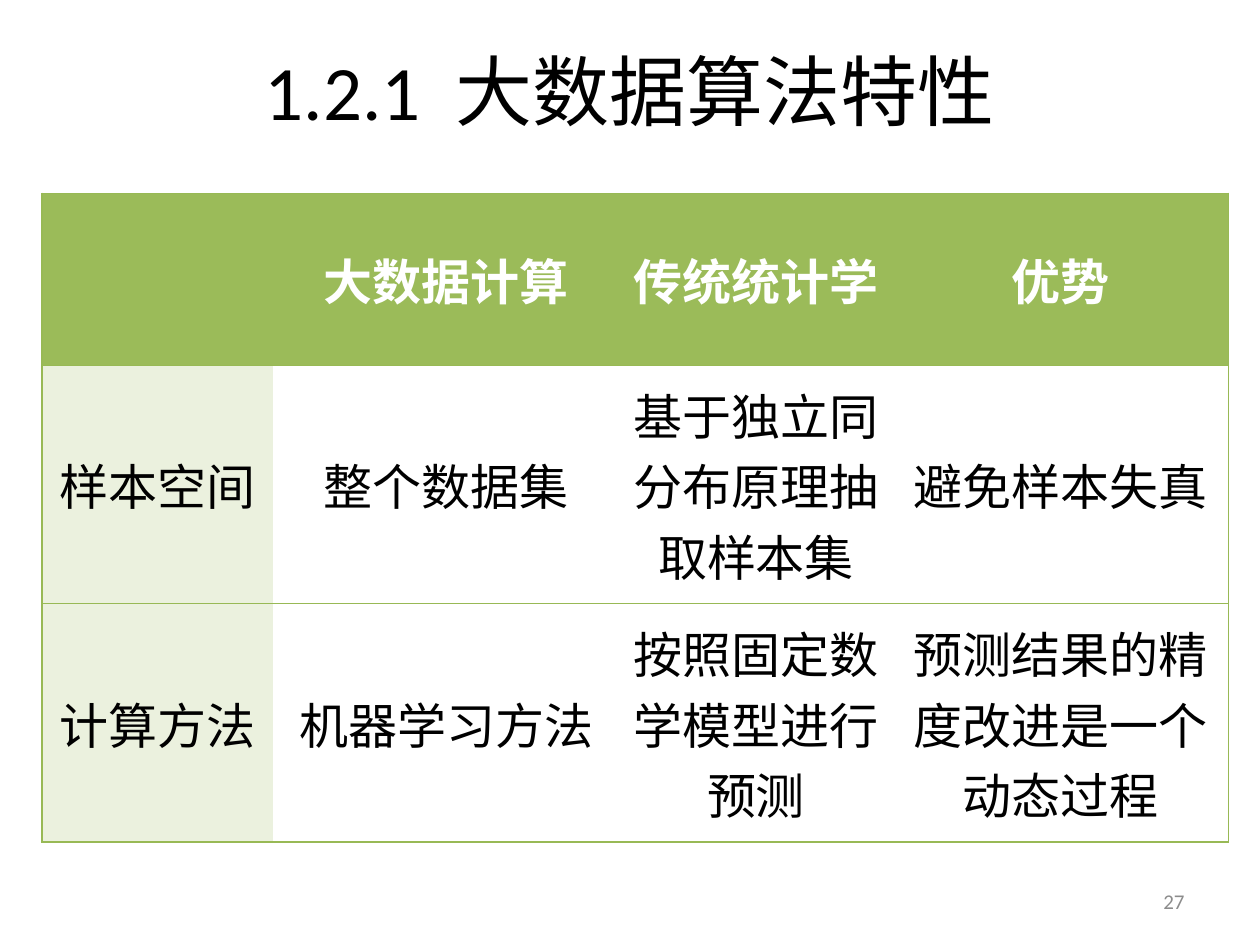
from lxml.etree import SubElement
from pptx import Presentation
from pptx.dml.color import RGBColor
from pptx.enum.text import MSO_ANCHOR, PP_ALIGN
from pptx.oxml.ns import qn
from pptx.util import Inches, Pt

COLORS = {
    "text": "000000",
    "header_text": "FFFFFF",
    "header": "9BBB59",
    "label": "EBF1DE",
    "border": "98B955",
    "number": "8C8C8C",
}
LATIN, CHINESE = "Calibri", "Noto Sans CJK SC"
NO_STYLE = "{2D5ABB26-0587-4C30-8999-92F81FD0307C}"
COLUMN_SPANS = (22, 33, 26, 32)
ROW_SPANS = (16.4, 22.7, 22.7)
ROWS = (
    ("", "大数据计算", "传统统计学", "优势"),
    ("样本空间", "整个数据集", "基于独立同分布原理抽取样本集", "避免样本失真"),
    ("计算方法", "机器学习方法", "按照固定数学模型进行预测", "预测结果的精度改进是一个动态过程"),
)


class SlideBuilder:
    """Draws styled elements on one slide, measured in a grid of 120 columns by 90 rows."""

    def __init__(self, deck):
        self.slide = deck.slides.add_slide(deck.slide_layouts[6])
        self.column = deck.slide_width / 120
        self.row = deck.slide_height / 90

    def place(self, left, top, width, height):
        return (round(left * self.column), round(top * self.row),
                round(width * self.column), round(height * self.row))

    def span(self, para, text, size, color, font=LATIN, bold=False, spacing=0):
        run = para.add_run()
        run.text = text
        run.font.size = Pt(size)
        run.font.bold = bold
        run.font.name = font
        run.font.color.rgb = RGBColor.from_string(COLORS[color])
        properties = run.font._element
        SubElement(properties, qn("a:ea"), typeface=CHINESE)
        if spacing:
            properties.set("spc", str(spacing * 100))

    def text(self, area, align, anchor):
        frame = self.slide.shapes.add_textbox(*self.place(*area)).text_frame
        frame.word_wrap = True
        frame.vertical_anchor = anchor
        para = frame.paragraphs[0]
        para.alignment = align
        return para

    def border(self, cell, sides):
        for side in sides:
            line = SubElement(cell._tc.get_or_add_tcPr(), qn(f"a:ln{side}"), w=str(Pt(0.75)))
            fill = SubElement(line, qn("a:solidFill"))
            SubElement(fill, qn("a:srgbClr"), val=COLORS["border"])

    def cell(self, cell, text, fill, color, bold, sides):
        self.border(cell, sides)
        if fill:
            cell.fill.solid()
            cell.fill.fore_color.rgb = RGBColor.from_string(COLORS[fill])
        else:
            cell.fill.background()
        cell.vertical_anchor = MSO_ANCHOR.MIDDLE
        para = cell.text_frame.paragraphs[0]
        para.alignment = PP_ALIGN.CENTER
        if text:
            self.span(para, text, 28, color, CHINESE, bold)

    def table(self, left, top, rows, column_spans, row_spans):
        area = self.place(left, top, sum(column_spans), sum(row_spans))
        table = self.slide.shapes.add_table(len(rows), len(column_spans), *area).table
        table._tbl.tblPr.find(qn("a:tableStyleId")).text = NO_STYLE
        for column, width in zip(table.columns, column_spans):
            column.width = round(width * self.column)
        for row, height in zip(table.rows, row_spans):
            row.height = round(height * self.row)
        last = len(column_spans) - 1
        for i, texts in enumerate(rows):
            for j, text in enumerate(texts):
                header = i == 0
                fill = "header" if header else "label" if j == 0 else None
                sides = ("L" if j == 0 else "") + ("R" if j == last else "") + "TB"
                color = "header_text" if header else "text"
                self.cell(table.cell(i, j), text, fill, color, header, sides)


def main():
    deck = Presentation()
    deck.slide_width, deck.slide_height = Inches(10), Inches(7.5)
    page = SlideBuilder(deck)
    title = page.text((6, 3.6, 108, 15), PP_ALIGN.CENTER, MSO_ANCHOR.TOP)
    page.span(title, "1.2.1", 44, "text")
    page.span(title, " ", 44, "text", spacing=10)
    page.span(title, "大数据算法特性", 44, "text")
    number = page.text((86, 83.4, 28, 4.8), PP_ALIGN.RIGHT, MSO_ANCHOR.MIDDLE)
    page.span(number, "27", 12, "number")
    page.table(4, 18.4, ROWS, COLUMN_SPANS, ROW_SPANS)
    deck.save("out.pptx")


if __name__ == "__main__":
    main()
